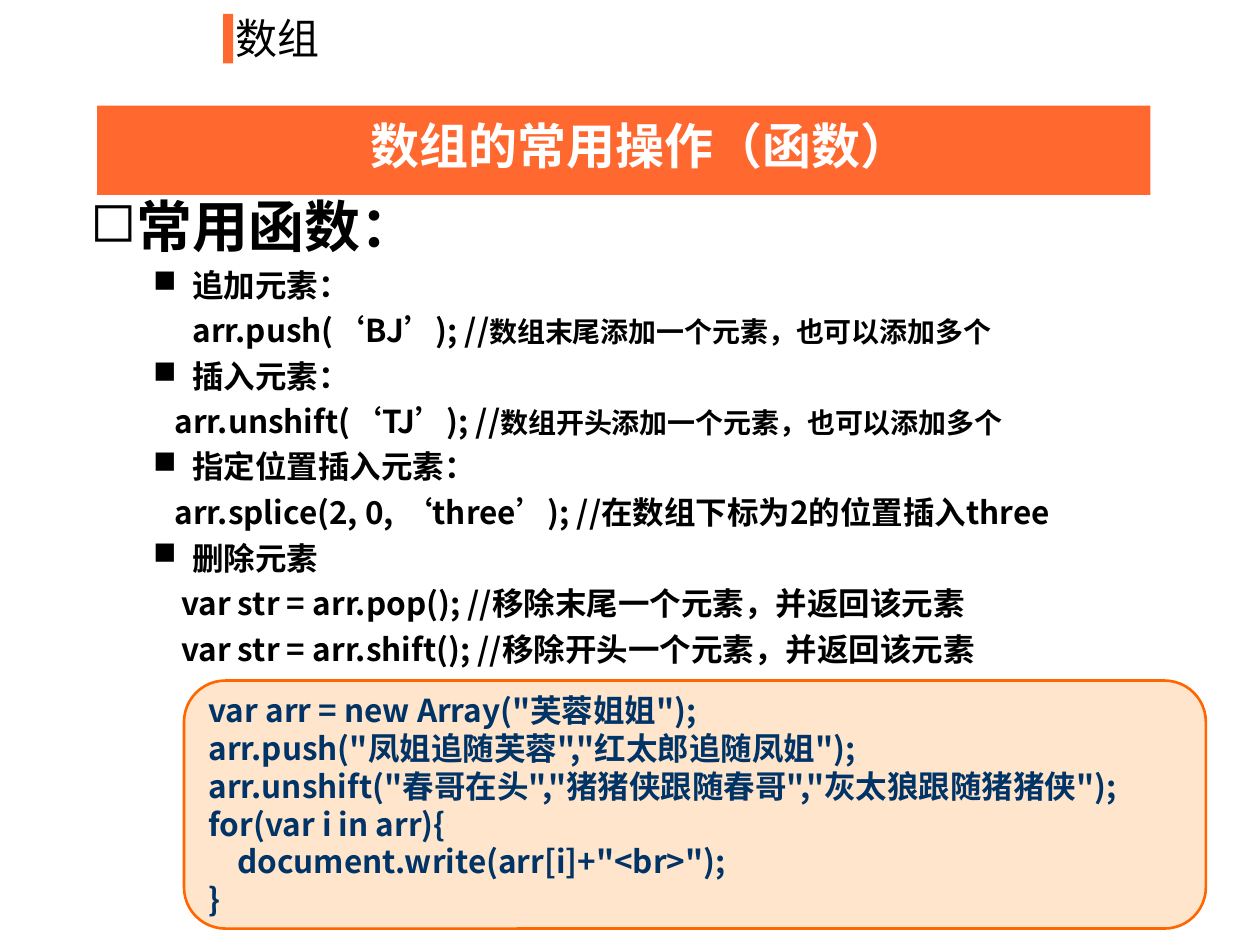
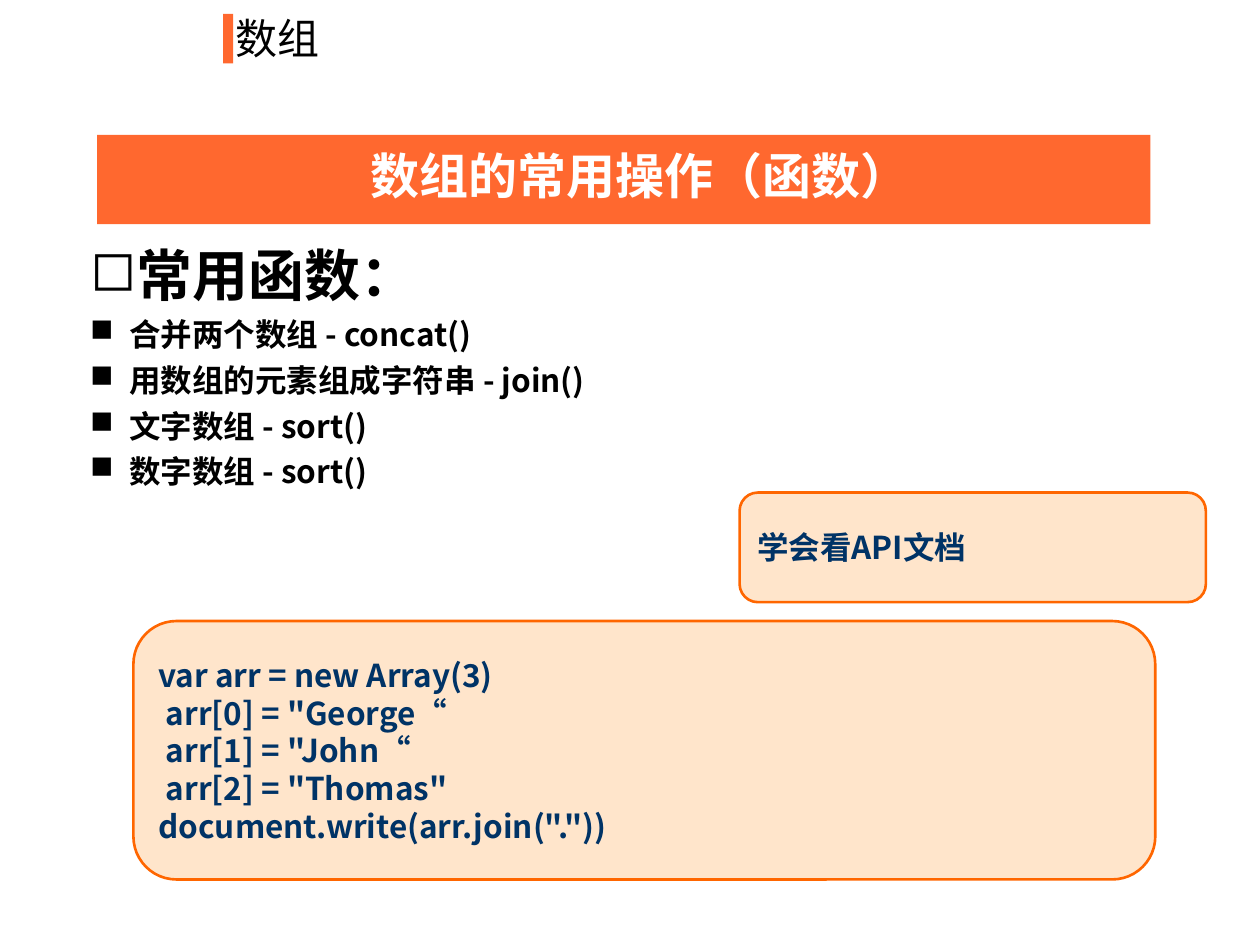
from lxml.etree import SubElement
from pptx import Presentation
from pptx.dml.color import RGBColor
from pptx.enum.shapes import MSO_SHAPE as Shape
from pptx.enum.text import MSO_ANCHOR as Anchor, PP_ALIGN as Align
from pptx.oxml.ns import qn
from pptx.util import Cm, Pt

COLORS = {
    "accent": "FF682F",
    "text": "000000",
    "white": "FFFFFF",
    "code": "003366",
    "code_fill": "FFCC99",
    "code_line": "FF6600",
}
FONT = "Noto Sans CJK SC"
HANGING = 0.79
OUTER, INNER = 2.06, 3.33


def rgb(name):
    return RGBColor.from_string(COLORS[name])


class Deck:
    """Holds the shared style and the slide being filled."""

    def __init__(self):
        self.presentation = Presentation()
        self.presentation.slide_width = Cm(25.4)
        self.presentation.slide_height = Cm(19.05)
        self.slide = None

    def add_slide(self, heading, title, band_top):
        self.slide = self.presentation.slides.add_slide(self.presentation.slide_layouts[6])
        self.add_block(4.5, 0.28, 0.2, 1)
        self.add_block(1.96, band_top, 21.23, 1.8)
        frame = self.add_text_box(4.5, 0.13, 6.55, 1.27)
        self.fill_paragraph(frame.paragraphs[0], [heading], 24, bold=False)
        frame = self.add_text_box(3.3, band_top + 0.08, 19.2, 1.45)
        frame.paragraphs[0].alignment = Align.CENTER
        self.fill_paragraph(frame.paragraphs[0], [title], 28, "white")

    def add_shape(self, kind, box, fill):
        shape = self.slide.shapes.add_shape(kind, *map(Cm, box))
        shape.shadow.inherit = False
        shape.fill.solid()
        shape.fill.fore_color.rgb = rgb(fill)
        return shape

    def add_block(self, *box):
        self.add_shape(Shape.RECTANGLE, box, "accent").line.fill.background()

    def add_text_box(self, *box):
        frame = self.slide.shapes.add_textbox(*map(Cm, box)).text_frame
        frame.word_wrap = True
        return frame

    def fill_paragraph(self, paragraph, parts, size, color="text", bold=True):
        """Add the parts as runs; every part after the first is 2 pt smaller."""
        for index, part in enumerate(parts):
            run = paragraph.add_run()
            run.text = part
            if index:
                run.font.size = Pt(size - 2)
        font = paragraph.font
        font.name, font.size, font.bold = FONT, Pt(size), bold
        font.color.rgb = rgb(color)
        properties = paragraph._p.pPr.find(qn("a:defRPr"))
        SubElement(properties, qn("a:ea")).set("typeface", FONT)

    def indent(self, paragraph, left, bullet=None):
        properties = paragraph._p.get_or_add_pPr()
        properties.set("marL", str(Cm(left)))
        properties.set("indent", str(-Cm(HANGING) if bullet else 0))
        if bullet:
            bullet_color = SubElement(properties, qn("a:buClr"))
            SubElement(bullet_color, qn("a:srgbClr")).set("val", COLORS["text"])
            SubElement(properties, qn("a:buChar")).set("char", bullet)

    def add_outline(self, box, heading, items):
        """Items are (left indent, bullet or None, text parts)."""
        frame = self.add_text_box(*box)
        rows = [(OUTER, "◻", [heading])] + items
        for index, (left, bullet, parts) in enumerate(rows):
            paragraph = frame.paragraphs[0] if index == 0 else frame.add_paragraph()
            paragraph.space_before = Pt(4.5 if index else 8)
            if len(parts) > 1:
                paragraph.space_before = Pt(4)
            self.indent(paragraph, left, bullet)
            self.fill_paragraph(paragraph, parts, 18 if index else 32)

    def add_code(self, box, lines):
        """Lines are (left indent, text)."""
        shape = self.add_shape(Shape.FLOWCHART_ALTERNATE_PROCESS, box, "code_fill")
        fill_color = shape._element.spPr.find(".//" + qn("a:srgbClr"))
        SubElement(fill_color, qn("a:alpha")).set("val", "50000")
        shape.line.color.rgb = rgb("code_line")
        shape.line.width = Pt(1.5)
        frame = shape.text_frame
        frame.word_wrap = True
        frame.vertical_anchor = Anchor.MIDDLE
        for index, (left, text) in enumerate(lines):
            paragraph = frame.paragraphs[0] if index == 0 else frame.add_paragraph()
            paragraph.alignment = Align.LEFT
            self.indent(paragraph, left)
            self.fill_paragraph(paragraph, [text], 18, "code")


def main():
    deck = Deck()
    heading, title, functions = "数组", "数组的常用操作（函数）", "常用函数："

    deck.add_slide(heading, title, 2.13)
    deck.add_outline((0.3, 3.73, 23.8, 8), functions, [
        (INNER, "■", ["追加元素："]),
        (INNER, None, ["arr.push(‘BJ’); //", "数组末尾添加一个元素，也可以添加多个"]),
        (INNER, "■", ["插入元素："]),
        (2.97, None, ["arr.unshift(‘TJ’); //", "数组开头添加一个元素，也可以添加多个"]),
        (INNER, "■", ["指定位置插入元素："]),
        (2.97, None, ["arr.splice(2, 0, ‘three’); //在数组下标为2的位置插入three"]),
        (INNER, "■", ["删除元素"]),
        (3.1, None, ["var str = arr.pop(); //移除末尾一个元素，并返回该元素"]),
        (3.1, None, ["var str = arr.shift(); //移除开头一个元素，并返回该元素"]),
    ])
    deck.add_code((3.71, 13.72, 20.6, 5), [
        (0, 'var arr = new Array("芙蓉姐姐");'),
        (0, 'arr.push("凤姐追随芙蓉","红太郎追随凤姐");'),
        (0, 'arr.unshift("春哥在头","猪猪侠跟随春哥","灰太狼跟随猪猪侠");'),
        (0, "for(var i in arr){"),
        (0.58, 'document.write(arr[i]+"<br>");'),
        (0, "}"),
    ])

    deck.add_slide(heading, title, 2.72)
    operations = ["合并两个数组 - concat()", "用数组的元素组成字符串 - join()",
                  "文字数组 - sort()", "数字数组 - sort()"]
    deck.add_outline((0.3, 4.72, 23.2, 6), functions,
                     [(OUTER, "■", [operation]) for operation in operations])
    deck.add_code((2.69, 12.52, 20.6, 5.21), [
        (0, "var arr = new Array(3)"),
        (0.15, 'arr[0] = "George“'),
        (0.15, 'arr[1] = "John“'),
        (0.15, 'arr[2] = "Thomas"'),
        (0, 'document.write(arr.join("."))'),
    ])
    deck.add_code((14.91, 9.93, 9.4, 2.21), [(0, "学会看API文档")])

    deck.presentation.save("out.pptx")


if __name__ == "__main__":
    main()
